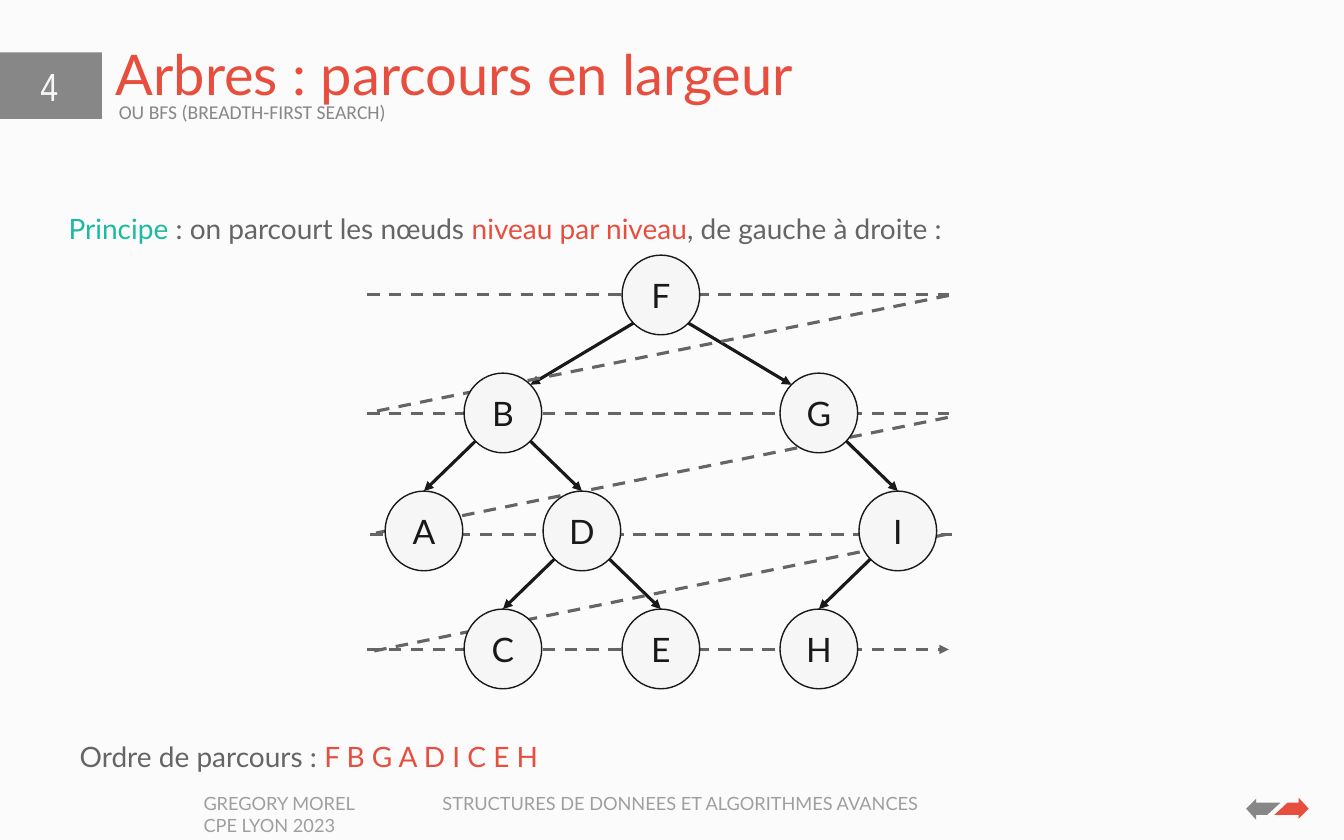
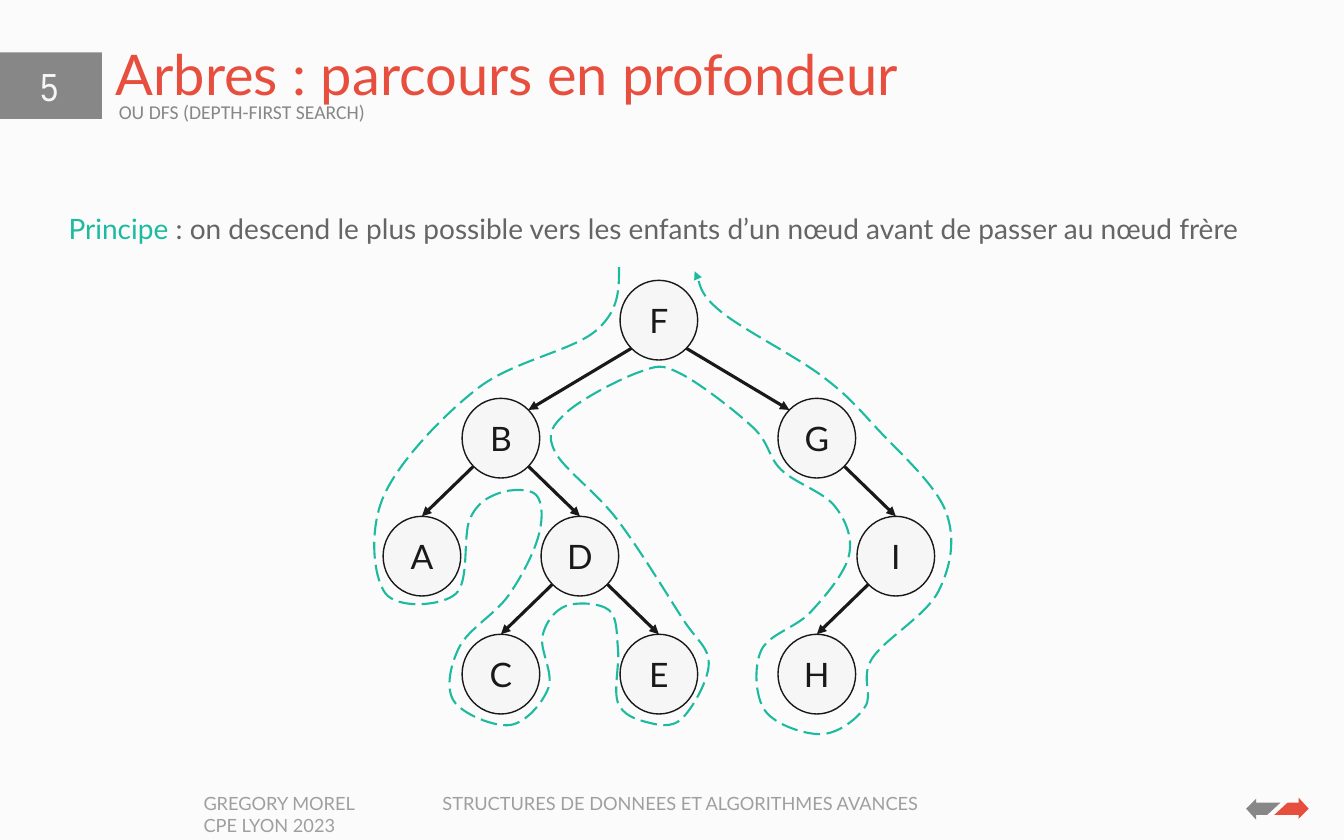
"""Build two slides on breadth-first and depth-first tree traversal."""
from dataclasses import dataclass
from math import sqrt

from lxml import etree
from pptx import Presentation
from pptx.dml.color import RGBColor
from pptx.enum.dml import MSO_LINE
from pptx.enum.shapes import MSO_CONNECTOR, MSO_SHAPE
from pptx.enum.text import MSO_ANCHOR, PP_ALIGN
from pptx.oxml.ns import qn
from pptx.util import Inches, Pt

BACKGROUND = RGBColor(0xFB, 0xFB, 0xFB)
GRAY = RGBColor(0x87, 0x87, 0x87)
FOOTER_GRAY = RGBColor(0x9F, 0x9F, 0x9F)
TEXT_GRAY = RGBColor(0x65, 0x65, 0x65)
RED = RGBColor(0xE7, 0x4E, 0x3E)
TEAL = RGBColor(0x1C, 0xBB, 0x9F)
BLACK = RGBColor(0x19, 0x19, 0x19)
WHITE = RGBColor(0xF6, 0xF6, 0xF6)

STRAIGHT = MSO_CONNECTOR.STRAIGHT
RECTANGLE, OVAL = MSO_SHAPE.RECTANGLE, MSO_SHAPE.OVAL
DASH, LONG_DASH = MSO_LINE.DASH, MSO_LINE.LONG_DASH
TOP, MIDDLE, BOTTOM = MSO_ANCHOR.TOP, MSO_ANCHOR.MIDDLE, MSO_ANCHOR.BOTTOM
LEFT, CENTER = PP_ALIGN.LEFT, PP_ALIGN.CENTER

Point = tuple[float, float]


@dataclass(frozen=True)
class Style:
    size: float
    font: str = "Lato"
    spacing: float = 1.0
    anchor: MSO_ANCHOR = TOP
    align: PP_ALIGN = LEFT
    inset: float = 0.1


@dataclass(frozen=True)
class Span:
    text: str
    color: RGBColor


@dataclass(frozen=True)
class Node:
    column: int
    level: int
    children: str = ""


@dataclass(frozen=True)
class Stroke:
    color: RGBColor
    width: float
    dash: MSO_LINE | None = None
    arrow: bool = False


TITLE = Style(40, spacing=0.9, anchor=BOTTOM)
SUBTITLE = Style(14, "Calibri", 0.9)
NUMBER = Style(28, "Arial Narrow", align=CENTER)
BODY = Style(20, spacing=1.5, inset=0.3)
FOOTER = Style(13)
LETTER = Style(24, anchor=MIDDLE, align=CENTER)

EDGE = Stroke(BLACK, 2.25, arrow=True)
SWEEP = Stroke(TEXT_GRAY, 2.25, DASH)
LAST_SWEEP = Stroke(TEXT_GRAY, 2.25, DASH, True)
TOUR = Stroke(TEAL, 1.5, LONG_DASH, True)

TREE = {
    "F": Node(3, 0, "BG"),
    "B": Node(1, 1, "AD"),
    "G": Node(5, 1, "I"),
    "A": Node(0, 2),
    "D": Node(2, 2, "CE"),
    "I": Node(6, 2, "H"),
    "C": Node(1, 3),
    "E": Node(3, 3),
    "H": Node(5, 3),
}
NODE_WIDTH, NODE_HEIGHT = 0.77, 0.79
COLUMN_STEP, LEVEL_STEP = 4.7 / 6, 1.17
BREADTH_ORIGIN, DEPTH_ORIGIN = (3.82, 2.53), (3.8, 2.78)

SWEEPS = [
    ((3.64, 2.92), (9.41, 2.92)),
    ((3.64, 4.1), (9.41, 4.1)),
    ((3.67, 5.3), (9.44, 5.3)),
    ((9.41, 2.93), (3.67, 4.09)),
    ((9.4, 4.14), (3.66, 5.3)),
    ((9.38, 5.3), (3.64, 6.47)),
]
TOUR_GUIDE = (5.91, 1.96)
TOUR_POINTS = [
    (6.14, 2.65), (5.91, 3.28), (4.74, 3.85), (3.81, 4.91), (3.82, 5.88),
    (4.52, 5.89), (4.66, 5.15), (4.95, 4.89), (5.32, 4.91), (5.34, 5.32),
    (5.04, 5.91), (4.56, 6.41), (4.5, 6.95), (5.06, 7.19), (5.44, 6.82),
    (5.38, 6.31), (5.61, 6.01), (6.04, 6.05), (6.13, 6.44), (6.13, 6.97),
    (6.41, 7.16), (6.76, 7.13), (7.03, 6.58), (6.76, 6.12), (6.12, 5.15),
    (5.5, 4.47), (5.62, 4.09), (6.34, 3.69), (6.74, 3.7), (7.47, 4.24),
    (7.75, 4.66), (8.28, 5.02), (8.42, 5.51), (8.04, 6.07), (7.55, 6.45),
    (7.59, 7.05), (8.15, 7.28), (8.58, 7.01), (8.65, 6.53), (9.31, 5.86),
    (9.38, 5.07), (8.69, 4.24), (8.14, 3.72), (7.15, 3.09), (6.89, 2.69),
]
RIGHT_ARROW = [(12.88, 7.96), (12.88, 7.91), (12.98, 8.02), (12.88, 8.12),
               (12.88, 8.08), (12.64, 8.08), (12.77, 7.96)]
LEFT_ARROW = [(25.34 - x, 16.04 - y) for x, y in RIGHT_ARROW]


def write_text(shape, spans: list[Span], style: Style) -> None:
    frame = shape.text_frame
    frame.word_wrap = True
    frame.vertical_anchor = style.anchor
    frame.margin_left = Inches(style.inset)
    paragraph = frame.paragraphs[0]
    paragraph.alignment = style.align
    paragraph.line_spacing = style.spacing
    for span in spans:
        run = paragraph.add_run()
        run.text = span.text
        run.font.size = Pt(style.size)
        run.font.name = style.font
        run.font.color.rgb = span.color


def add_text(slide, left: float, top: float, width: float, height: float,
             spans: list[Span], style: Style) -> None:
    box = slide.shapes.add_textbox(Inches(left), Inches(top), Inches(width), Inches(height))
    write_text(box, spans, style)


def apply_stroke(shape, stroke: Stroke) -> None:
    shape.line.color.rgb = stroke.color
    shape.line.width = Pt(stroke.width)
    if stroke.dash is not None:
        shape.line.dash_style = stroke.dash
    if stroke.arrow:
        etree.SubElement(shape.element.spPr.find(qn("a:ln")), qn("a:tailEnd"), type="triangle")


def add_line(slide, start: Point, end: Point, stroke: Stroke) -> None:
    ends = [Inches(value) for value in (*start, *end)]
    connector = slide.shapes.add_connector(STRAIGHT, *ends)
    apply_stroke(connector, stroke)
    etree.SubElement(connector.element.spPr, qn("a:effectLst"))


def add_outline(slide, points: list[Point], close: bool):
    start, *rest = [(Inches(x), Inches(y)) for x, y in points]
    builder = slide.shapes.build_freeform(*start)
    builder.add_line_segments(rest, close=close)
    shape = builder.convert_to_shape()
    shape.shadow.inherit = False
    return shape


def add_curve(slide, guide: Point, anchors: list[Point], stroke: Stroke) -> None:
    padded = [guide, *anchors, anchors[-1]]
    points = [anchors[0]]
    for before, start, end, after in zip(padded, padded[1:], padded[2:], padded[3:]):
        points += [
            (start[0] + (end[0] - before[0]) / 6, start[1] + (end[1] - before[1]) / 6),
            (end[0] - (after[0] - start[0]) / 6, end[1] - (after[1] - start[1]) / 6),
            end,
        ]
    shape = add_outline(slide, points, close=False)
    shape.fill.background()
    apply_stroke(shape, stroke)
    segments = list(shape.element.iter(qn("a:lnTo")))
    outline = segments[0].getparent()
    for index in range(0, len(segments), 3):
        curve = etree.SubElement(outline, qn("a:cubicBezTo"))
        for segment in segments[index:index + 3]:
            curve.append(segment[0])
            outline.remove(segment)


def node_center(node: Node, origin: Point) -> Point:
    return (origin[0] + node.column * COLUMN_STEP + NODE_WIDTH / 2,
            origin[1] + node.level * LEVEL_STEP + NODE_HEIGHT / 2)


def add_edges(slide, origin: Point) -> None:
    across, down = NODE_WIDTH / sqrt(8), NODE_HEIGHT / sqrt(8)
    for parent in TREE.values():
        x, y = node_center(parent, origin)
        for name in parent.children:
            child = TREE[name]
            child_x, child_y = node_center(child, origin)
            gap = child.column - parent.column
            side = across if gap > 0 else -across
            if abs(gap) > 1:
                end = (child_x - side, child_y - down)
            else:
                end = (child_x, child_y - NODE_HEIGHT / 2)
            add_line(slide, (x + side, y + down), end, EDGE)


def add_nodes(slide, origin: Point) -> None:
    for name, node in TREE.items():
        x, y = node_center(node, origin)
        shape = slide.shapes.add_shape(
            OVAL, Inches(x - NODE_WIDTH / 2), Inches(y - NODE_HEIGHT / 2),
            Inches(NODE_WIDTH), Inches(NODE_HEIGHT))
        shape.shadow.inherit = False
        shape.fill.solid()
        shape.fill.fore_color.rgb = WHITE
        apply_stroke(shape, Stroke(BLACK, 1))
        write_text(shape, [Span(name, BLACK)], LETTER)


def add_footer(slide) -> None:
    box = slide.shapes.add_textbox(Inches(1.92), Inches(7.81), Inches(9.48), Inches(0.5))
    frame = box.text_frame
    frame.word_wrap = True
    frame.text = ("GREGORY MOREL\tSTRUCTURES DE DONNEES ET ALGORITHMES AVANCES\n"
                  "CPE LYON 2023")
    for paragraph in frame.paragraphs:
        for run in paragraph.runs:
            run.font.size = Pt(FOOTER.size)
            run.font.name = FOOTER.font
            run.font.color.rgb = FOOTER_GRAY
    properties = frame.paragraphs[0]._p.get_or_add_pPr()
    tabs = etree.SubElement(properties, qn("a:tabLst"))
    etree.SubElement(tabs, qn("a:tab"), pos=str(Inches(2.37)), algn="l")


def add_base_slide(presentation, number: str, title: str, subtitle: str,
                   principle: list[Span]):
    slide = presentation.slides.add_slide(presentation.slide_layouts[6])
    slide.background.fill.solid()
    slide.background.fill.fore_color.rgb = BACKGROUND
    band = slide.shapes.add_shape(RECTANGLE, Inches(-0.01), Inches(0.52),
                                  Inches(1.02), Inches(0.66))
    band.shadow.inherit = False
    arrows = [add_outline(slide, points, close=True) for points in (RIGHT_ARROW, LEFT_ARROW)]
    for shape, color in zip((band, *arrows), (GRAY, RED, GRAY)):
        shape.fill.solid()
        shape.fill.fore_color.rgb = color
        shape.line.fill.background()
    add_footer(slide)
    add_text(slide, 1.05, 0.13, 10, 0.99, [Span(title, RED)], TITLE)
    add_text(slide, 1.08, 0.97, 10, 0.49, [Span(subtitle, GRAY)], SUBTITLE)
    add_text(slide, 0.09, 0.57, 0.8, 0.51, [Span(number, WHITE)], NUMBER)
    add_text(slide, 0.38, 1.88, 12.48, 0.55, [Span("Principe", TEAL), *principle], BODY)
    return slide


def add_breadth_slide(presentation) -> None:
    slide = add_base_slide(
        presentation, "4", "Arbres : parcours en largeur", "OU BFS (BREADTH-FIRST SEARCH)",
        [Span(" : on parcourt les nœuds ", TEXT_GRAY), Span("niveau par niveau", RED),
         Span(", de gauche à droite :", TEXT_GRAY)])
    add_edges(slide, BREADTH_ORIGIN)
    for start, end in SWEEPS:
        add_line(slide, start, end, SWEEP)
    add_line(slide, (3.64, 6.44), (9.41, 6.44), LAST_SWEEP)
    add_nodes(slide, BREADTH_ORIGIN)
    add_text(slide, 0.49, 7.12, 12.48, 0.61,
             [Span("Ordre de parcours : ", TEXT_GRAY), Span(" ".join(TREE), RED)], BODY)


def add_depth_slide(presentation) -> None:
    slide = add_base_slide(
        presentation, "5", "Arbres : parcours en profondeur", "OU DFS (DEPTH-FIRST SEARCH)",
        [Span(" : on descend le plus possible vers les enfants d’un nœud avant de passer "
              "au nœud frère", TEXT_GRAY)])
    add_edges(slide, DEPTH_ORIGIN)
    add_nodes(slide, DEPTH_ORIGIN)
    add_curve(slide, TOUR_GUIDE, TOUR_POINTS, TOUR)


def main() -> None:
    presentation = Presentation()
    presentation.slide_width = Inches(13.33)
    presentation.slide_height = Inches(8.33)
    add_breadth_slide(presentation)
    add_depth_slide(presentation)
    presentation.save("out.pptx")


if __name__ == "__main__":
    main()
